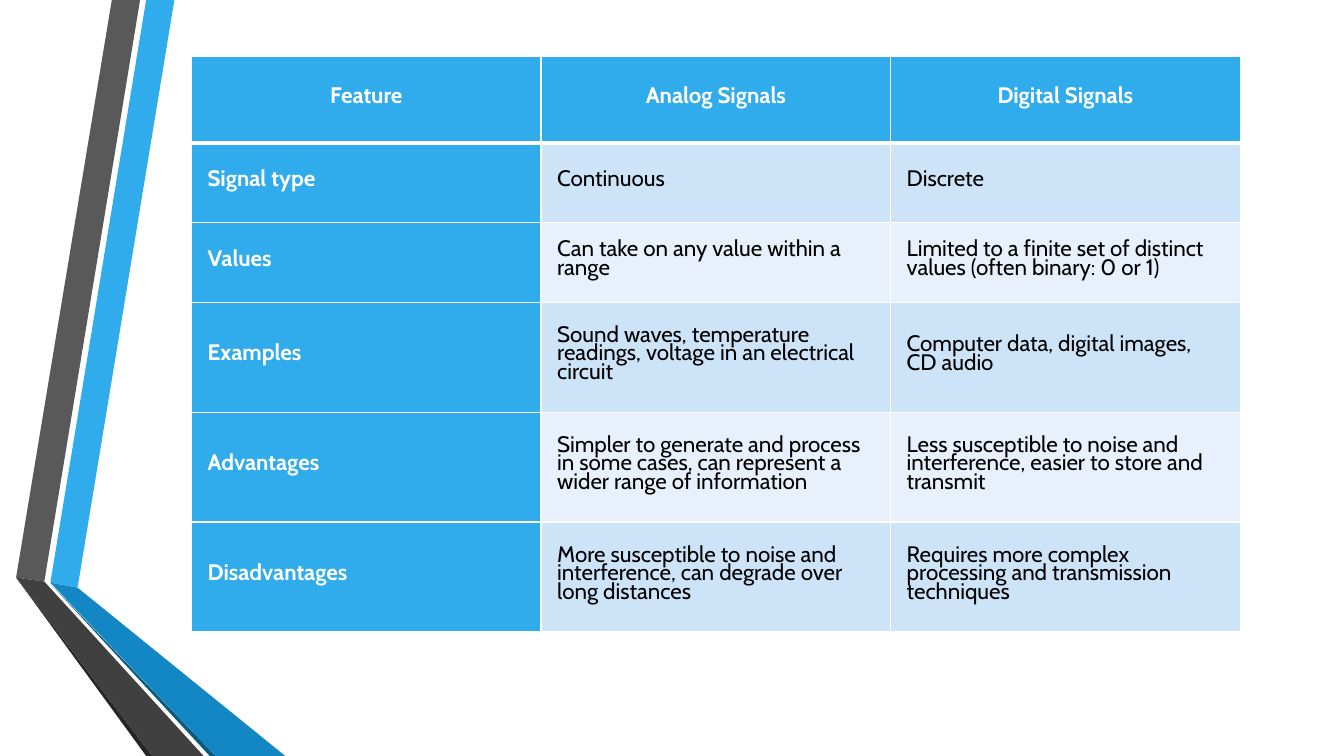
import pptx
import pptx.dml.color
import pptx.enum.text
import pptx.oxml
import pptx.oxml.ns
import pptx.util

Inches = pptx.util.Inches
Pt = pptx.util.Pt

COLORS = {
    "blue": "30ACEC", "deep_blue": "1287C3", "navy": "0C5A82",
    "gray": "595959", "dark_gray": "404040", "black_gray": "262626",
    "band_dark": "CDE3F8", "band_light": "E8F1FB",
    "white": "FFFFFF", "black": "000000",
}

# Ribbon outlines in inches, relative to the ribbon box, back to front
RIBBONS = [
    ("blue", [(0.34, 5.78), (0.61, 5.83), (1.57, 0), (1.29, 0)]),
    ("gray", [(1.23, 0), (0.95, 0), (0, 5.73), (0.28, 5.77)]),
    ("black_gray", [(0, 5.73), (1.29, 7.5), (1.35, 7.5)]),
    ("navy", [(0.34, 5.79), (1.92, 7.5), (1.98, 7.5)]),
    ("deep_blue", [(0.34, 5.78), (1.98, 7.5), (2.67, 7.5), (0.61, 5.83)]),
    ("dark_gray", [(1.86, 7.5), (0.28, 5.77), (0, 5.73), (1.35, 7.5)]),
]

ROWS = [
    ("Feature", "Analog Signals", "Digital Signals"),
    ("Signal type", "Continuous", "Discrete"),
    ("Values", "Can take on any value within a range",
     "Limited to a finite set of distinct values (often binary: 0 or 1)"),
    ("Examples", "Sound waves, temperature readings, voltage in an electrical circuit",
     "Computer data, digital images, CD audio"),
    ("Advantages",
     "Simpler to generate and process in some cases, can represent a wider range of information",
     "Less susceptible to noise and interference, easier to store and transmit"),
    ("Disadvantages",
     "More susceptible to noise and interference, can degrade over long distances",
     "Requires more complex processing and transmission techniques"),
]
ROW_HEIGHTS = [0.86, 0.79, 0.79, 1.09, 1.09, 1.09]


def color(name):
    return pptx.dml.color.RGBColor.from_string(COLORS[name])


def apply(target, values):
    for name, value in values.items():
        setattr(target, name, value)


def add_ribbons(page, left, top):
    for fill, outline in RIBBONS:
        points = [(Inches(x), Inches(y)) for x, y in outline]
        builder = page.shapes.build_freeform(*points[0], scale=1.0)
        builder.add_line_segments(points[1:], close=True)
        ribbon = builder.convert_to_shape(Inches(left), Inches(top))
        ribbon.shadow.inherit = False
        ribbon.fill.solid()
        ribbon.fill.fore_color.rgb = color(fill)
        ribbon.line.fill.background()


def set_borders(cell, widths):
    properties = cell._tc.get_or_add_tcPr()
    for side, width in widths.items():
        properties.append(pptx.oxml.parse_xml(
            f'<a:ln{side} {pptx.oxml.ns.nsdecls("a")} w="{Pt(width)}">'
            f'<a:solidFill><a:srgbClr val="{COLORS["white"]}"/></a:solidFill>'
            f'</a:ln{side}>'))


def fill_cell(cell, text, row, column):
    is_header = row == 0
    is_label = is_header or column == 0
    # Borders come before the fill in the cell properties
    set_borders(cell, {"L": 1, "R": 1, "T": 3 if row == 1 else 1, "B": 3 if is_header else 1})
    cell.fill.solid()
    band = "band_dark" if row % 2 else "band_light"
    cell.fill.fore_color.rgb = color("blue" if is_label else band)
    vertical = Inches(0.18 if is_header else 0.16)
    apply(cell, {
        "margin_left": Inches(0.16), "margin_right": Inches(0.16),
        "margin_top": vertical, "margin_bottom": vertical,
        "vertical_anchor": pptx.enum.text.MSO_ANCHOR.MIDDLE,
    })
    para = cell.text_frame.paragraphs[0]
    align = pptx.enum.text.PP_ALIGN
    apply(para, {
        "alignment": align.CENTER if is_header else align.LEFT,
        "line_spacing": Pt(13.2), "space_after": Pt(8),
    })
    span = para.add_run()
    span.text = text
    apply(span.font, {"name": "Cabin", "size": Pt(16), "bold": is_label})
    span.font.color.rgb = color("white" if is_label else "black")


def add_comparison(page, left, top, width):
    frame = page.shapes.add_table(
        len(ROWS), len(ROWS[0]), Inches(left), Inches(top),
        Inches(width), Inches(sum(ROW_HEIGHTS)))
    table = frame.table
    table.horz_banding = False
    for column in table.columns:
        column.width = Inches(width / len(ROWS[0]))
    for row, (texts, height) in enumerate(zip(ROWS, ROW_HEIGHTS)):
        table.rows[row].height = Inches(height)
        for column, text in enumerate(texts):
            fill_cell(table.cell(row, column), text, row, column)


def main():
    deck = pptx.Presentation()
    deck.slide_width, deck.slide_height = Inches(13.33), Inches(7.5)
    page = deck.slides.add_slide(deck.slide_layouts[6])
    add_ribbons(page, 0.16, 0)
    add_comparison(page, 1.9, 0.56, 10.4)
    deck.save("out.pptx")


if __name__ == "__main__":
    main()
